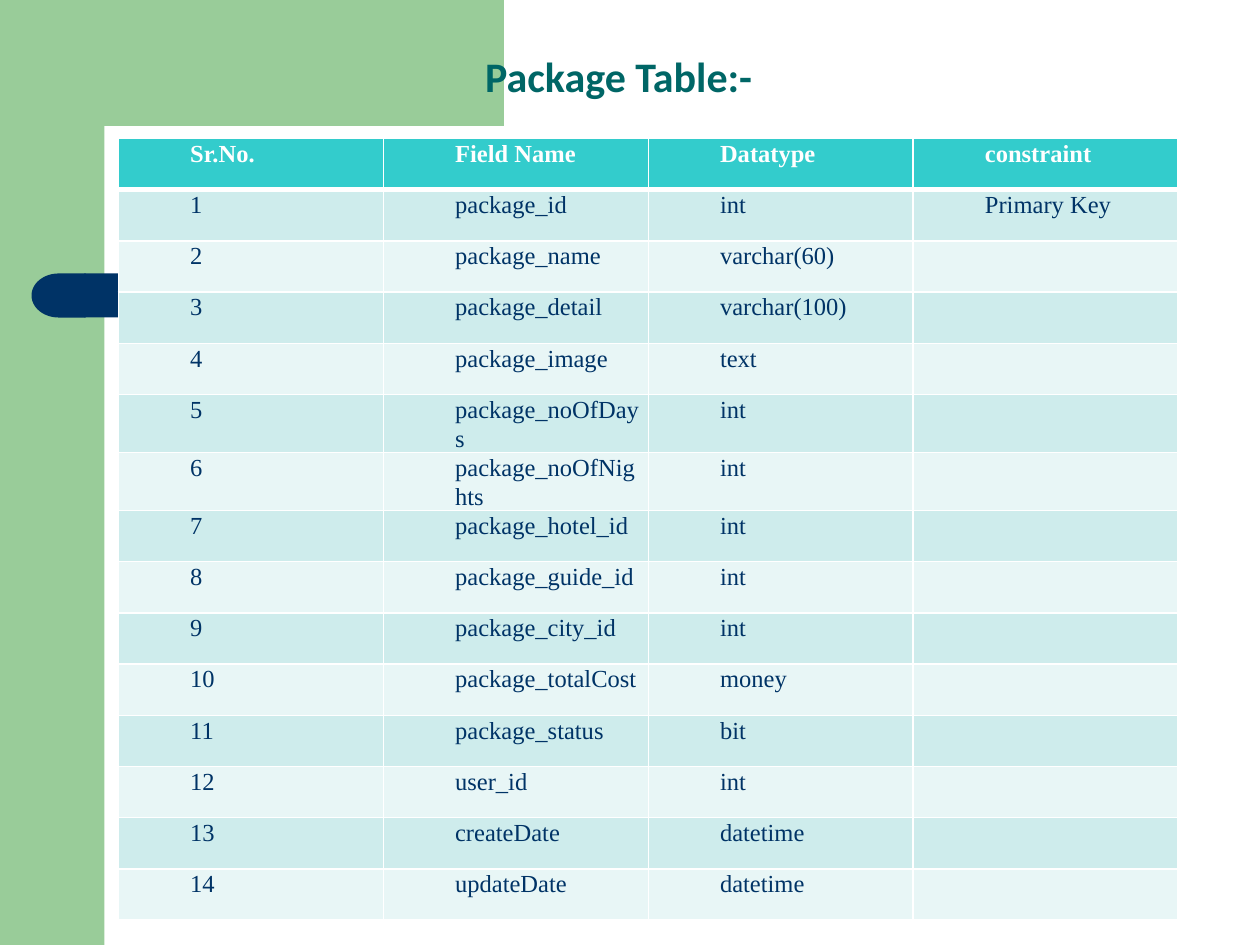
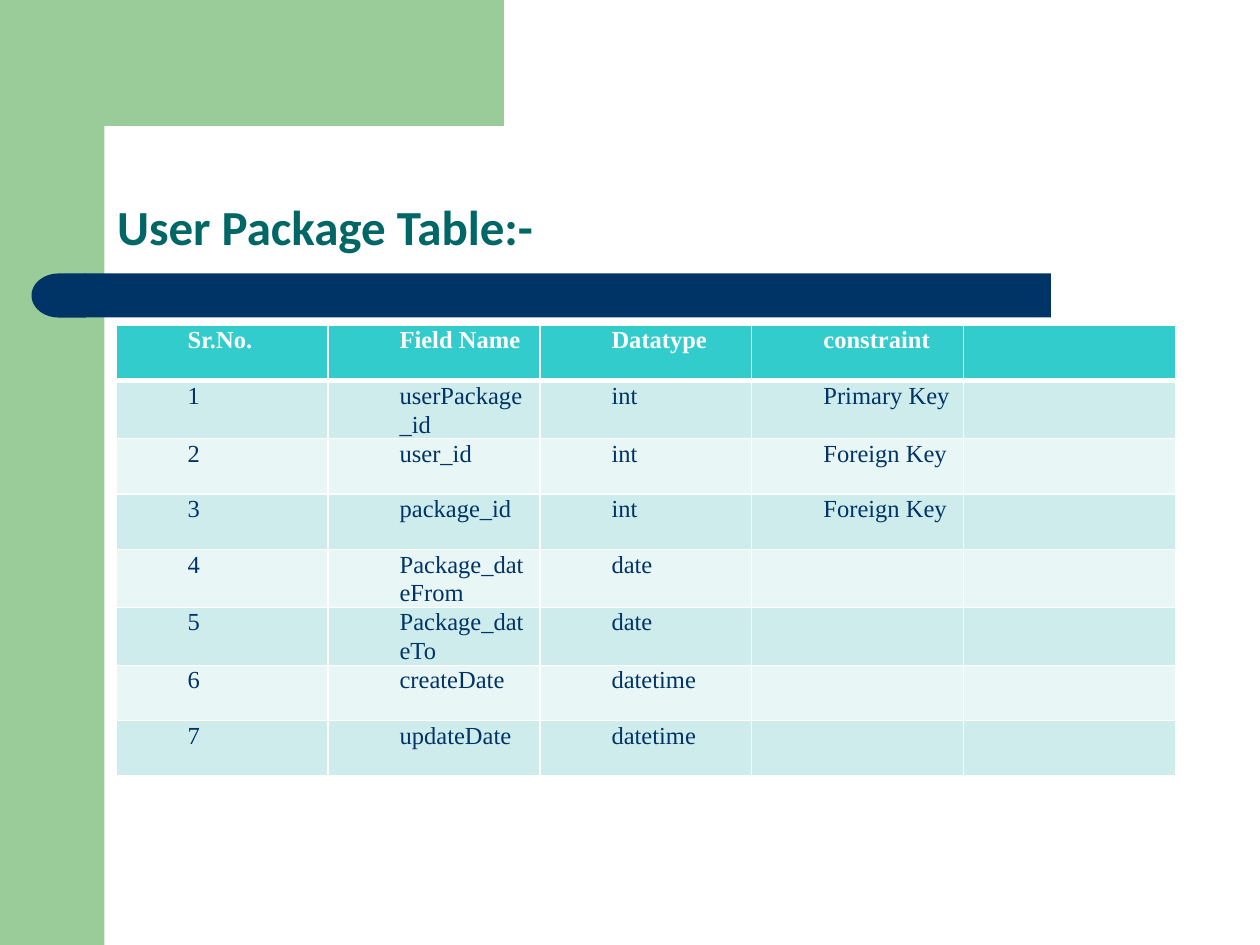
from math import cos, pi, sin

from lxml.etree import SubElement
from pptx import Presentation
from pptx.dml.color import RGBColor
from pptx.enum.shapes import MSO_SHAPE, PP_PLACEHOLDER
from pptx.enum.text import MSO_ANCHOR, MSO_AUTO_SIZE, PP_ALIGN
from pptx.oxml.ns import qn
from pptx.util import Inches, Pt

GREEN = RGBColor(0x99, 0xCC, 0x99)
NAVY = RGBColor(0x00, 0x33, 0x66)
TEAL = RGBColor(0x00, 0x66, 0x66)
TURQUOISE = RGBColor(0x33, 0xCC, 0xCC)
WHITE = RGBColor(0xFF, 0xFF, 0xFF)
ROW_FILLS = (RGBColor(0xCE, 0xEC, 0xEC), RGBColor(0xE8, 0xF6, 0xF6))
TITLE_FONT = "Calibri"
TABLE_FONT = "Times New Roman"
TABLE_WIDTH = 8.41

HEADERS = ("Sr.No.", "Field Name", "Datatype", "constraint")
PACKAGE_FIELDS = [
    ("package_id", "int", "Primary Key"),
    ("package_name", "varchar(60)"),
    ("package_detail", "varchar(100)"),
    ("package_image", "text"),
    ("package_noOfDays", "int"),
    ("package_noOfNights", "int"),
    ("package_hotel_id", "int"),
    ("package_guide_id", "int"),
    ("package_city_id", "int"),
    ("package_totalCost", "money"),
    ("package_status", "bit"),
    ("user_id", "int"),
    ("createDate", "datetime"),
    ("updateDate", "datetime"),
]
USER_PACKAGE_FIELDS = [
    ("userPackage _id", "int", "Primary Key"),
    ("user_id", "int", "Foreign Key"),
    ("package_id", "int", "Foreign Key"),
    ("Package_dateFrom", "date"),
    ("Package_dateTo", "date"),
    ("createDate", "datetime"),
    ("updateDate", "datetime"),
]


class Deck:
    def __init__(self):
        self.presentation = Presentation()
        self.presentation.slide_width = Inches(10)
        self.presentation.slide_height = Inches(7.5)
        self.layout = self.presentation.slide_layouts[5]
        for placeholder in list(self.layout.placeholders):
            if placeholder.placeholder_format.type != PP_PLACEHOLDER.TITLE:
                self.layout.shapes.element.remove(placeholder.element)
        self.add_slide()
        self.decorate_layout()

    def add_slide(self):
        self.slide = self.presentation.slides.add_slide(self.layout)

    def decorate_layout(self):
        """Draw the bands on the current slide, then move them to the layout."""
        bands = [
            self.add_band(MSO_SHAPE.RECTANGLE, 0, 0, 0.83, 7.5, GREEN),
            self.add_corner(),
            self.add_band(MSO_SHAPE.RECTANGLE, 0.67, 2.17, 7.67, 0.35, NAVY),
            self.add_band(MSO_SHAPE.FLOWCHART_DELAY, 0.25, 2.17, 0.43, 0.35, NAVY),
        ]
        bands[-1].rotation = 180
        for band in bands:
            self.layout.shapes.element.append(band.element)

    def paint(self, shape, color):
        shape.shadow.inherit = False
        shape.fill.solid()
        shape.fill.fore_color.rgb = color
        shape.line.fill.background()
        return shape

    def add_band(self, kind, left, top, width, height, color):
        shape = self.slide.shapes.add_shape(
            kind, Inches(left), Inches(top), Inches(width), Inches(height))
        return self.paint(shape, color)

    def add_corner(self):
        """Green top band whose inner corner is a concave quarter circle."""
        center, radius, steps = 1.16, 0.33, 16
        angles = [pi / 2 * step / steps for step in range(steps + 1)]
        arc = [(center - radius * sin(angle), center - radius * cos(angle))
               for angle in angles]
        outline = [(3.5, 0.83), *arc, (0.83, 1.28), (0.5, 1.28), (0.5, 0)]
        builder = self.slide.shapes.build_freeform(3.5, 0, scale=Inches(1))
        builder.add_line_segments(outline)
        return self.paint(builder.convert_to_shape(), GREEN)

    def add_title(self, text, left, top, width, height, size):
        title = self.slide.shapes.title
        title.left, title.top = Inches(left), Inches(top)
        title.width, title.height = Inches(width), Inches(height)
        frame = title.text_frame
        frame.text = text
        frame.auto_size = MSO_AUTO_SIZE.NONE
        frame.vertical_anchor = MSO_ANCHOR.BOTTOM
        paragraph = frame.paragraphs[0]
        paragraph.alignment = PP_ALIGN.LEFT
        paragraph.line_spacing = 0.9
        self.set_font(paragraph, TITLE_FONT, size, TEAL, True)

    def set_font(self, paragraph, name, size, color, bold):
        font = paragraph.font
        font.name, font.size, font.bold = name, Pt(size), bold
        font.color.rgb = color

    def add_field_table(self, fields, left, top, height, column_count):
        rows = [HEADERS] + [(str(number), *field)
                            for number, field in enumerate(fields, 1)]
        table = self.slide.shapes.add_table(
            len(rows), column_count, Inches(left), Inches(top),
            Inches(TABLE_WIDTH), Inches(height)).table
        for row_index, row in enumerate(rows):
            for column in range(column_count):
                text = row[column] if column < len(row) else ""
                self.format_cell(table.cell(row_index, column), text, row_index)

    def format_cell(self, cell, text, row_index):
        is_header = row_index == 0
        self.add_borders(cell, top=3 if row_index == 1 else 1,
                         bottom=3 if is_header else 1)
        cell.fill.solid()
        cell.fill.fore_color.rgb = (
            TURQUOISE if is_header else ROW_FILLS[(row_index - 1) % 2])
        cell.margin_left = cell.margin_right = Inches(0.07)
        cell.margin_top = cell.margin_bottom = 0
        cell.text = text
        paragraph = cell.text_frame.paragraphs[0]
        paragraph.alignment = PP_ALIGN.JUSTIFY
        paragraph.line_spacing = 1.07
        properties = paragraph._p.get_or_add_pPr()
        properties.set("marL", str(Inches(0.5)))
        properties.set("indent", "0")
        self.set_font(paragraph, TABLE_FONT, 14,
                      WHITE if is_header else NAVY, is_header)

    def add_borders(self, cell, top, bottom):
        properties = cell._tc.get_or_add_tcPr()
        for side, width in (("L", 1), ("R", 1), ("T", top), ("B", bottom)):
            line = SubElement(properties, qn(f"a:ln{side}"), w=str(Pt(width)))
            fill = SubElement(line, qn("a:solidFill"))
            SubElement(fill, qn("a:srgbClr"), val=str(WHITE))


def main():
    deck = Deck()
    deck.add_title("Package Table:-", 3.75, 0, 3.13, 0.86, 24)
    deck.add_field_table(PACKAGE_FIELDS, 0.94, 1.1, 6.1, 4)

    deck.add_slide()
    deck.add_title("User Package Table:-", 0.83, 0.83, 8.67, 1.25, 28)
    deck.add_field_table(USER_PACKAGE_FIELDS, 0.92, 2.58, 3.52, 5)
    deck.presentation.save("out.pptx")


if __name__ == "__main__":
    main()
